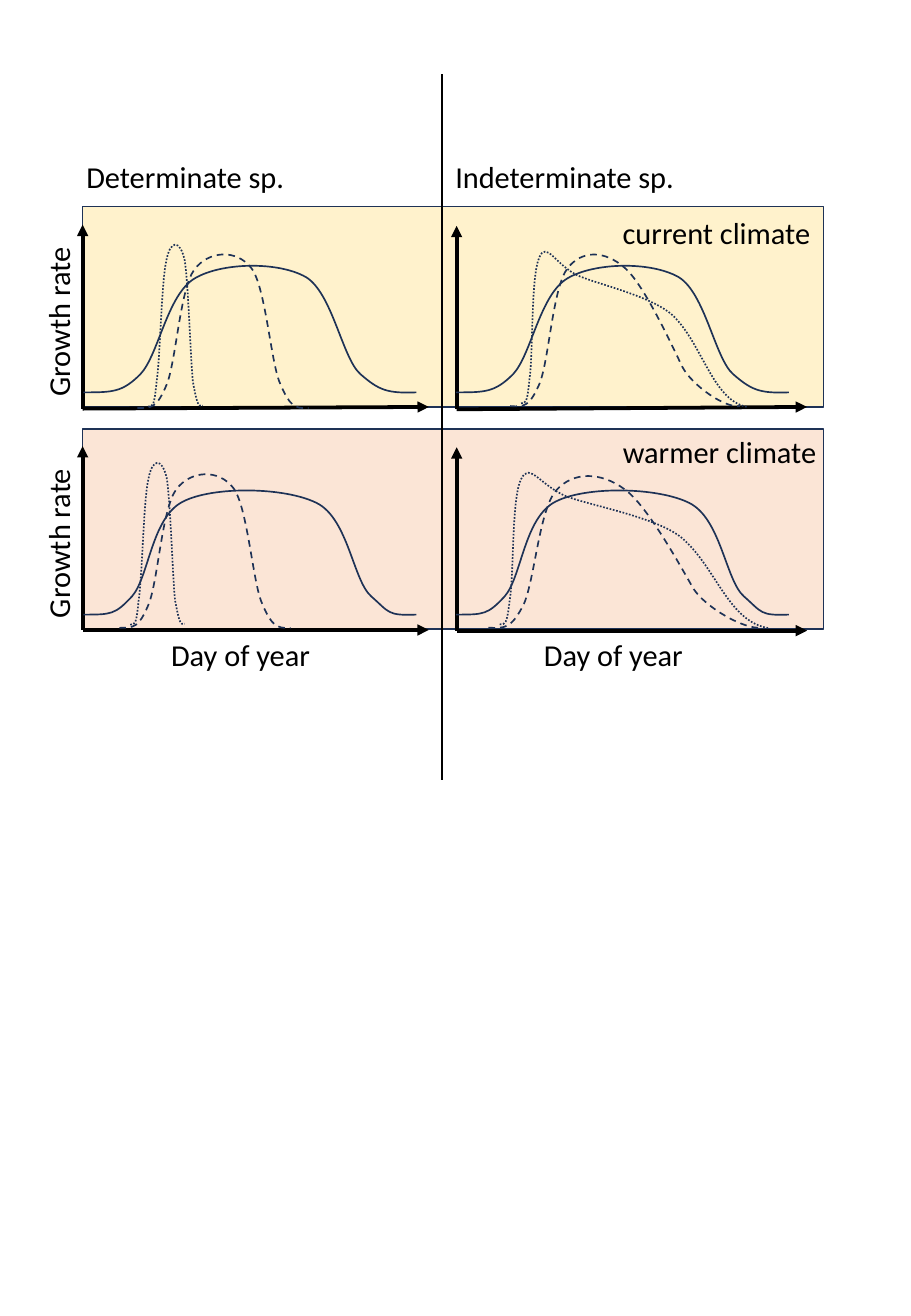
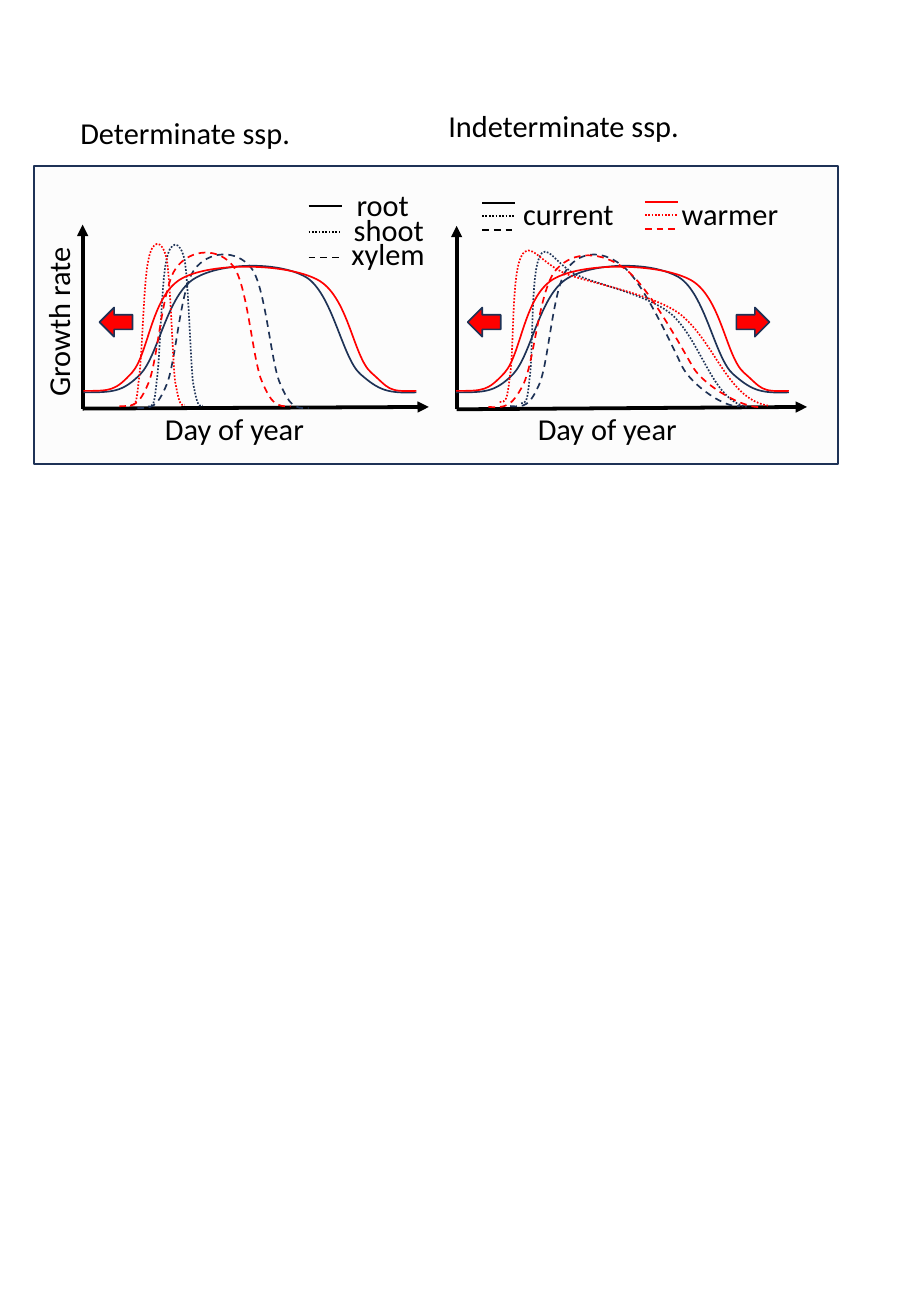
from pptx import Presentation
from pptx.dml.color import RGBColor
from pptx.enum import dml, shapes, text
from pptx.oxml import ns, xmlchemy
from pptx.util import Pt

NAVY = RGBColor(0x1E, 0x32, 0x56)
BLACK = RGBColor(0, 0, 0)
RED = RGBColor(0xFF, 0, 0)
CREAM = RGBColor(0xFF, 0xF2, 0xCC)
PEACH = RGBColor(0xFB, 0xE5, 0xD6)
GREY = RGBColor(0xF2, 0xF2, 0xF2)

DASHES = {
    "root": None,
    "shoot": dml.MSO_LINE.ROUND_DOT,
    "xylem": dml.MSO_LINE.DASH,
}

PROFILES = {
    "root": [
        (0, 0), (17.3, 0), (23, 0), (33.8, -10.8),
        (44.6, -22.3), (49.7, -58.3), (66.2, -67.7),
        (82, -77), (115.2, -77.8), (131.8, -68.4),
        (147.6, -59), (153.4, -20.2), (164.2, -10.8),
        (175, -1.4), (180, 0.7), (197.3, 0),
    ],
    "root warmer": [
        (0, 0), (16.6, 0), (18.7, 0), (28.8, -10.8),
        (38.9, -22.3), (40.3, -57.6), (59, -67),
        (77, -76.3), (119.5, -75.6), (138.2, -66.2),
        (157, -56.9), (159.8, -20.2), (170.6, -10.8),
        (181.4, -1.4), (180, 0.7), (197.3, 0),
    ],
    "shoot determinate": [
        (0, 0), (2.9, 0), (3.6, 0), (5, -14.4),
        (7.2, -28.8), (7.9, -74.2), (10.8, -86.4),
        (13, -98.6), (18.7, -99.4), (21.6, -87.1),
        (23.8, -74.9), (25.2, -26.6), (26.6, -14.4),
        (28.8, -2.9), (29.5, 0.7), (32.4, -0.5),
    ],
    "xylem determinate": [
        (0, 0), (8.6, 0), (11.5, 0), (17.3, -13.7),
        (23, -27.4), (25.2, -70.6), (33.8, -82.1),
        (42.5, -93.6), (59, -94.3), (67.7, -82.8),
        (76.3, -71.3), (79.2, -25.2), (85, -13.7),
        (90, -2.2), (92.9, 0.7), (101.5, 0),
    ],
    "shoot indeterminate": [
        (0, 0), (2.9, 0), (3.6, 0), (5, -14.4),
        (7.2, -28.8), (5.8, -75.6), (10.8, -86.4),
        (15.1, -96.5), (20.2, -82.1), (33.8, -75.6),
        (47.5, -69.8), (81.4, -62.6), (92.2, -49.7),
        (108, -32.4), (114.5, -1.4), (133.9, 2.2),
    ],
    "xylem indeterminate": [
        (0, 0), (8.6, 0.7), (11.5, 0), (17.3, -13),
        (23, -26.6), (25.2, -69.8), (33.8, -81.4),
        (42.5, -92.9), (56.2, -92.2), (67.7, -82.1),
        (79.2, -72.7), (96.5, -34.6), (102.2, -23),
        (108, -12.2), (127.4, 1.4), (136.1, 0),
    ],
}

CURVES = {
    "current": [
        ("root", 49.5, 232.6, 232.6, 1),
        ("root", 270.4, 232.6, 232.6, 1),
        ("shoot determinate", 87.8, 241, 241, 1),
        ("xylem determinate", 81.4, 241.9, 241.9, 1),
        ("shoot indeterminate", 308.9, 239, 239, 1),
        ("xylem indeterminate", 302.4, 240.7, 240.7, 1),
    ],
    "warmer": [
        ("root warmer", 49.5, 364.3, 231.7, 1),
        ("root warmer", 270.4, 364.3, 231.7, 1),
        ("shoot determinate", 77.2, 370.3, 240.5, 1),
        ("xylem determinate", 70.7, 372.2, 240.8, 1),
        ("shoot indeterminate", 296.2, 370.1, 238.3, 1.19),
        ("xylem indeterminate", 289.5, 372, 241.2, 1.19),
    ],
}
ROW_SHIFT = 131.2


def trace(anchors, steps=10):
    points = [anchors[0]]
    for i in range(0, len(anchors) - 1, 3):
        segment = anchors[i:i + 4]
        for step in range(1, steps + 1):
            t = step / steps
            weights = ((1 - t) ** 3, 3 * t * (1 - t) ** 2, 3 * t * t * (1 - t), t ** 3)
            points.append(tuple(sum(w * p[axis] for w, p in zip(weights, segment))
                                for axis in (0, 1)))
    return points


class Figure:
    frame_format = {
        "word_wrap": False,
        "auto_size": text.MSO_AUTO_SIZE.SHAPE_TO_FIT_TEXT,
    }
    font_format = {"name": "Calibri", "size": Pt(18)}

    def __init__(self):
        self.deck = Presentation()
        self.deck.slide_width, self.deck.slide_height = Pt(540), Pt(780)

    def new_slide(self):
        self.shapes = self.deck.slides.add_slide(self.deck.slide_layouts[6]).shapes

    def stroke(self, line, color, width=1, dash=None):
        line.color.rgb = color
        line.width = Pt(width)
        if dash is not None:
            line.dash_style = dash

    def block(self, left, top, width, height, fill,
              kind=shapes.MSO_SHAPE.RECTANGLE, opacity=None):
        block = self.shapes.add_shape(kind, Pt(left), Pt(top), Pt(width), Pt(height))
        block.shadow.inherit = False
        block.fill.solid()
        block.fill.fore_color.rgb = fill
        self.stroke(block.line, NAVY)
        if opacity:
            color = block._element.spPr.find(ns.qn("a:solidFill"))[0]
            alpha = xmlchemy.OxmlElement("a:alpha")
            alpha.set("val", str(opacity * 1000))
            color.append(alpha)

    def line(self, x1, y1, x2, y2, color=BLACK, width=1, dash=None, arrow=False):
        line = self.shapes.add_connector(
            shapes.MSO_CONNECTOR.STRAIGHT, Pt(x1), Pt(y1), Pt(x2), Pt(y2))
        self.stroke(line.line, color, width, dash)
        if arrow:
            head = xmlchemy.OxmlElement("a:tailEnd")
            head.set("type", "triangle")
            line._element.spPr.find(ns.qn("a:ln")).append(head)
        line._element.spPr.append(xmlchemy.OxmlElement("a:effectLst"))

    def label(self, words, left, top, width, rotation=0):
        box = self.shapes.add_textbox(Pt(left), Pt(top), Pt(width), Pt(29))
        box.rotation = rotation
        for name, value in self.frame_format.items():
            setattr(box.text_frame, name, value)
        paragraph = box.text_frame.paragraphs[0]
        paragraph.alignment = text.PP_ALIGN.CENTER
        run = paragraph.add_run()
        run.text = words
        for name, value in self.font_format.items():
            setattr(run.font, name, value)
        run.font.color.rgb = BLACK

    def axes(self, shift=0):
        for left, base, top, right in ((49, 242.2, 133.2, 254.2),
                                       (270.7, 242.6, 133.9, 478.4)):
            self.line(left, base + shift, left, top + shift, width=2.25, arrow=True)
            end = base if shift else 241.2
            self.line(left, base + shift, right, end + shift, width=2.25, arrow=True)
        self.label("Growth rate", -17.3, 176.4 + shift, 103.7, 270)

    def day_labels(self, left, top):
        for x in (left, left + 221):
            self.label("Day of year", x, top, 98)

    def curve(self, anchors, color, dash):
        outline = [(Pt(x), Pt(y)) for x, y in trace(anchors)]
        builder = self.shapes.build_freeform(*outline[0], scale=1.0)
        builder.add_line_segments(outline[1:], close=False)
        curve = builder.convert_to_shape()
        curve.shadow.inherit = False
        curve.fill.background()
        self.stroke(curve.line, color, dash=dash)
        route = next(curve._element.iter(ns.qn("a:path")))
        for straight in route.findall(ns.qn("a:lnTo")):
            route.remove(straight)
        for i in range(1, len(anchors), 3):
            bend = xmlchemy.OxmlElement("a:cubicBezTo")
            for x, y in anchors[i:i + 3]:
                point = xmlchemy.OxmlElement("a:pt")
                point.set("x", str(Pt(x) - curve.left))
                point.set("y", str(Pt(y) - curve.top))
                bend.append(point)
            route.append(bend)

    def curves(self, climate, color, overlaid=False):
        for profile, left, own_base, overlaid_base, stretch in CURVES[climate]:
            base = overlaid_base if overlaid else own_base
            anchors = [(left + x * stretch, base + y) for x, y in PROFILES[profile]]
            self.curve(anchors, color, DASHES[profile.split()[0]])

    def legend_lines(self, left, top, gap, color=BLACK):
        for row, dash in enumerate(DASHES.values()):
            y = top + row * gap
            self.line(left, y, left + 19.6, y, color, dash=dash)


def climate_rows(figure):
    figure.new_slide()
    figure.block(49, 254.2, 439.2, 118.8, PEACH)
    figure.block(49, 122.4, 439.2, 118.8, CREAM)
    for shift in (0, ROW_SHIFT):
        figure.axes(shift)
    figure.day_labels(93.6, 373.7)
    figure.label("Determinate sp.", 43.2, 90, 133.2)
    figure.label("Indeterminate sp.", 262, 90, 145.4)
    figure.label("current climate", 361.4, 123.1, 126.7)
    figure.label("warmer climate", 361.4, 253.4, 130.3)
    figure.line(262, 43.9, 262, 462.2)
    for climate in CURVES:
        figure.curves(climate, NAVY)


def climate_overlay(figure):
    figure.new_slide()
    figure.block(20.2, 98.6, 476.6, 176.4, GREY, opacity=21)
    figure.axes()
    figure.label("Determinate ssp.", 39.6, 64.1, 140.4)
    figure.label("Indeterminate ssp.", 257.8, 59.8, 152.6)
    for climate, color in (("current", NAVY), ("warmer", RED)):
        figure.curves(climate, color, overlaid=True)
    figure.day_labels(90, 239.8)
    for left, kind in ((59, shapes.MSO_SHAPE.LEFT_ARROW),
                       (277.2, shapes.MSO_SHAPE.LEFT_ARROW),
                       (436.5, shapes.MSO_SHAPE.RIGHT_ARROW)):
        figure.block(left, 182.3, 19.6, 17.3, RED, kind)
    figure.legend_lines(183, 122.2, 15.2)
    for organ, left, top, width in (("root", 203.8, 106.6, 46),
                                    ("shoot", 202.3, 121.7, 56.2),
                                    ("xylem", 200.9, 136.1, 58.3)):
        figure.label(organ, left, top, width)
    figure.label("current", 302.4, 112.3, 69.1)
    figure.legend_lines(285.8, 120.2, 8)
    figure.label("warmer", 396.7, 112.3, 72)
    figure.legend_lines(382.3, 119.6, 8, RED)


def main():
    figure = Figure()
    climate_rows(figure)
    climate_overlay(figure)
    figure.deck.save("out.pptx")


if __name__ == "__main__":
    main()
